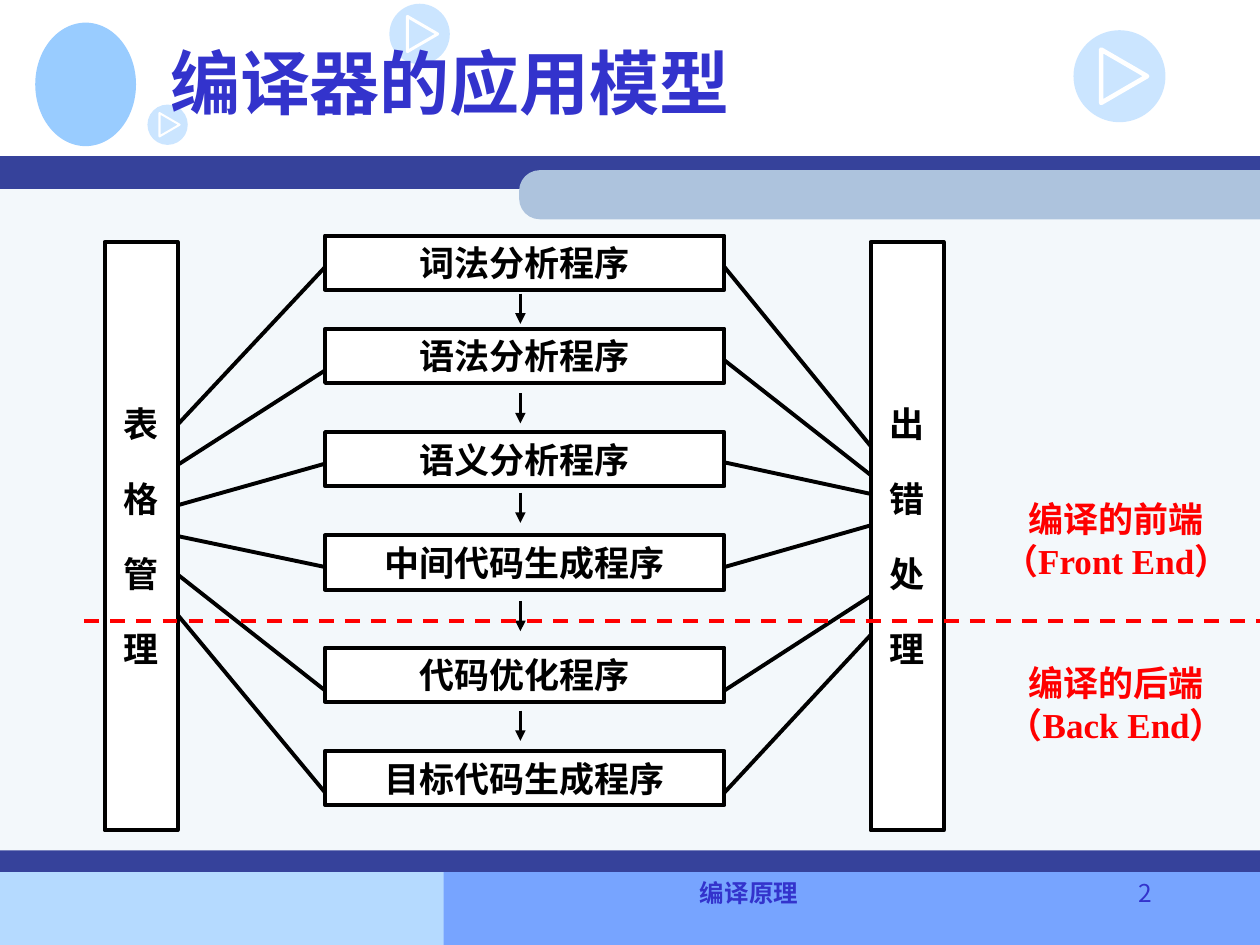
from lxml.etree import SubElement
from pptx import Presentation
from pptx.dml.color import RGBColor
from pptx.enum.dml import MSO_LINE
from pptx.enum.shapes import MSO_CONNECTOR, MSO_SHAPE
from pptx.enum.text import MSO_ANCHOR, PP_ALIGN
from pptx.oxml.ns import qn
from pptx.util import Inches, Pt

BLACK = RGBColor(0x00, 0x00, 0x00)
WHITE = RGBColor(0xFF, 0xFF, 0xFF)
RED = RGBColor(0xFF, 0x00, 0x00)
INK_BLUE = RGBColor(0x33, 0x33, 0xCC)
NAVY = RGBColor(0x36, 0x42, 0x9B)
STEEL = RGBColor(0xAD, 0xC3, 0xDD)
MIST = RGBColor(0xF3, 0xF8, 0xFB)
SKY = RGBColor(0x99, 0xCC, 0xFF)
FOOTER_LIGHT = RGBColor(0xB5, 0xDA, 0xFF)
FOOTER_DARK = RGBColor(0x77, 0xA4, 0xFF)

# Stage, box top, (left y, table pillar y), (right y, error pillar y)
STAGES = [
    ("词法分析程序", 1.87, (2.12, 3.37), (2.12, 3.54)),
    ("语法分析程序", 2.61, (2.94, 3.69), (2.86, 3.77)),
    ("语义分析程序", 3.43, (3.68, 4.01), (3.67, 3.92)),
    ("中间代码生成程序", 4.25, (4.5, 4.25), (4.5, 4.17)),
    ("代码优化程序", 5.14, (5.48, 4.56), (5.48, 4.73)),
    ("目标代码生成程序", 5.96, (6.29, 4.88), (6.29, 5.04)),
]
ARROW_TOPS = [2.33, 3.12, 3.91, 4.77, 5.64]
STAGE_LEFT, STAGE_RIGHT = 2.58, 5.75
TABLE_LEFT, ERROR_LEFT = 0.83, 6.91
PILLAR_TOP, PILLAR_WIDTH, PILLAR_HEIGHT = 1.92, 0.58, 4.67


class SlideBuilder:
    font = "Times New Roman"
    footer_font = "Noto Sans CJK KR"
    body_size = 20
    outline = 2.25

    def __init__(self, slide):
        self.slide = slide
        self.shapes = slide.shapes

    def title(self, text, left, top, width, height):
        title = self.shapes.title
        title.left, title.top = Inches(left), Inches(top)
        title.width, title.height = Inches(width), Inches(height)
        # Bring the title in front of the decoration drawn so far
        title.element.getparent().append(title.element)
        self.set_text(title.text_frame, [text], 40, INK_BLUE, align=PP_ALIGN.LEFT)

    def set_text(self, frame, lines, size, color, bold=True, align=PP_ALIGN.CENTER,
                 font=None, gap=0, anchor=MSO_ANCHOR.MIDDLE):
        frame.vertical_anchor = anchor
        frame.text = "\n".join(lines)
        for index, paragraph in enumerate(frame.paragraphs):
            paragraph.alignment = align
            paragraph.space_before = Pt(gap if index else 0)
            paragraph.font.name = font or self.font
            paragraph.font.size = Pt(size)
            paragraph.font.bold = bold
            paragraph.font.color.rgb = color

    def panel(self, left, top, width, height, fill, kind=MSO_SHAPE.RECTANGLE):
        panel = self.shapes.add_shape(
            kind, Inches(left), Inches(top), Inches(width), Inches(height))
        panel.shadow.inherit = False
        panel.fill.solid()
        panel.fill.fore_color.rgb = fill
        panel.line.fill.background()
        return panel

    def rounded_bar(self, left, top, width, height, fill):
        """Bar with rounded left corners: an upright shape turned by 270 degrees."""
        shift = (width - height) / 2
        bar = self.panel(left + shift, top - shift, height, width, fill,
                         MSO_SHAPE.ROUND_2_SAME_RECTANGLE)
        bar.adjustments[0] = 0.42
        bar.rotation = 270

    def play_badge(self, left, top, size):
        disc = self.panel(left, top, size, size, SKY, MSO_SHAPE.OVAL)
        color = disc.element.spPr.find(qn("a:solidFill"))[0]
        SubElement(color, qn("a:alpha"), val="50000")
        corners = [(Inches(left + size * x), Inches(top + size * y))
                   for x, y in ((0.3, 0.21), (0.8, 0.5), (0.3, 0.79))]
        builder = self.shapes.build_freeform(*corners[0])
        builder.add_line_segments(corners[1:], close=True)
        triangle = builder.convert_to_shape()
        triangle.shadow.inherit = False
        triangle.fill.background()
        triangle.line.color.rgb = WHITE
        triangle.line.width = Pt(round(3.6 * size, 2))
        SubElement(triangle.element.spPr.find(qn("a:ln")), qn("a:round"))

    def box(self, lines, left, top, width, height, gap=0):
        box = self.panel(left, top, width, height, WHITE)
        box.line.color.rgb = BLACK
        box.line.width = Pt(self.outline)
        box.text_frame.word_wrap = False
        self.set_text(box.text_frame, lines, self.body_size, BLACK, gap=gap)
        return box

    def label(self, lines, left, top, width, height, size, color, **style):
        label = self.shapes.add_textbox(
            Inches(left), Inches(top), Inches(width), Inches(height))
        label.text_frame.word_wrap = True
        self.set_text(label.text_frame, lines, size, color, **style)

    def line(self, start, end, color=BLACK, width=outline, dash=None, arrow=False):
        line = self.shapes.add_connector(
            MSO_CONNECTOR.STRAIGHT, *map(Inches, start + end))
        line.line.color.rgb = color
        line.line.width = Pt(width)
        if dash:
            line.line.dash_style = dash
        if arrow:
            SubElement(line.element.spPr.find(qn("a:ln")), qn("a:tailEnd"),
                       type="triangle")
        SubElement(line.element.spPr, qn("a:effectLst"))
        return line


def draw_backdrop(page):
    page.panel(0, 6.92, 4.25, 0.58, FOOTER_LIGHT)
    page.panel(3.52, 6.91, 6.48, 0.59, FOOTER_DARK)
    page.panel(0, 1.4, 10, 5.51, MIST)
    page.panel(0, 1.24, 10, 0.26, NAVY)
    page.rounded_bar(4.12, 1.35, 5.88, 0.39, STEEL)
    page.panel(0.28, 0.18, 0.8, 0.98, SKY, MSO_SHAPE.OVAL)
    page.panel(0, 6.75, 10, 0.17, NAVY)
    for badge in ((3.09, 0.03, 0.48), (8.52, 0.24, 0.73), (1.17, 0.83, 0.32)):
        page.play_badge(*badge)


def draw_compiler(page):
    table_pillar, _ = [
        page.box(list(name), left, PILLAR_TOP, PILLAR_WIDTH, PILLAR_HEIGHT, gap=19)
        for name, left in (("表格管理", TABLE_LEFT), ("出错处理", ERROR_LEFT))]
    table_right = TABLE_LEFT + PILLAR_WIDTH
    for name, top, (left_y, table_y), (right_y, error_y) in STAGES:
        page.box([name], STAGE_LEFT, top, STAGE_RIGHT - STAGE_LEFT, 0.43)
        table_link = page.line((STAGE_LEFT, left_y), (table_right, table_y))
        if abs(table_y - PILLAR_TOP - PILLAR_HEIGHT / 2) < 0.01:
            table_link.end_connect(table_pillar, 3)
        page.line((ERROR_LEFT, error_y), (STAGE_RIGHT, right_y))
    for top in ARROW_TOPS:
        page.line((4.13, top), (4.13, top + 0.24), width=2, arrow=True)


def draw_front_and_back_end(page):
    page.line((0.67, 4.93), (10, 4.93), RED, 2.13, MSO_LINE.DASH)
    for lines, top in ((["编译的前端", "（Front End）"], 3.99),
                       (["编译的后端", "（Back End）"], 5.29)):
        page.label(lines, 7.76, top, 2.2, 0.58, page.body_size, RED)


def draw_footer(page):
    style = {"font": page.footer_font, "anchor": MSO_ANCHOR.TOP}
    page.label(["编译原理"], 3.42, 6.92, 5.05, 0.5, 14, INK_BLUE, **style)
    page.label(["2"], 8.46, 6.92, 0.78, 0.5, 14, INK_BLUE,
               bold=False, align=PP_ALIGN.RIGHT, **style)


def main():
    deck = Presentation()
    deck.slide_width, deck.slide_height = Inches(10), Inches(7.5)
    title_only = deck.slide_layouts[5]
    page = SlideBuilder(deck.slides.add_slide(title_only))
    draw_backdrop(page)
    page.title("编译器的应用模型", 1.25, 0.06, 8.5, 1.17)
    draw_compiler(page)
    draw_front_and_back_end(page)
    draw_footer(page)
    deck.save("out.pptx")


if __name__ == "__main__":
    main()
